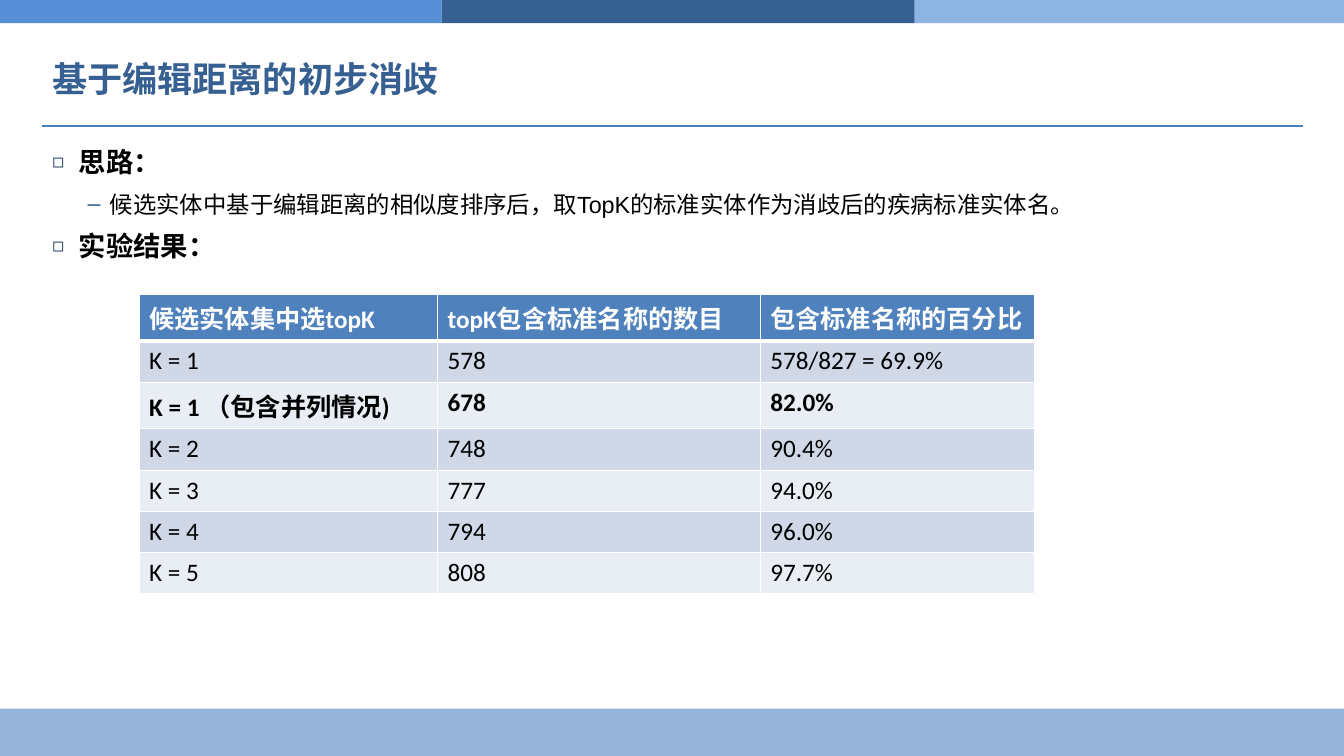
from dataclasses import dataclass

from lxml.etree import SubElement
from pptx import Presentation
from pptx.dml.color import RGBColor
from pptx.enum.shapes import MSO_CONNECTOR, MSO_SHAPE
from pptx.enum.text import MSO_ANCHOR, MSO_AUTO_SIZE, PP_ALIGN
from pptx.oxml import parse_xml
from pptx.oxml.ns import nsdecls, qn
from pptx.slide import Slide
from pptx.table import _Cell
from pptx.text.text import TextFrame, _Paragraph
from pptx.util import Inches, Pt

WHITE = RGBColor(0xFF, 0xFF, 0xFF)
BLACK = RGBColor(0x00, 0x00, 0x00)
NAVY = RGBColor(0x17, 0x37, 0x5E)
DARK_BLUE = RGBColor(0x37, 0x60, 0x92)
MID_BLUE = RGBColor(0x55, 0x8E, 0xD5)
LIGHT_BLUE = RGBColor(0x8E, 0xB4, 0xE3)
FOOTER_BLUE = RGBColor(0x95, 0xB3, 0xD7)
RULE_BLUE = RGBColor(0x4B, 0x7E, 0xBC)
HEADER_BLUE = RGBColor(0x4F, 0x81, 0xBD)
ROW_DARK = RGBColor(0xD0, 0xD8, 0xE8)
ROW_LIGHT = RGBColor(0xE9, 0xED, 0xF4)


@dataclass(frozen=True)
class Band:
    left: float
    top: float
    width: float
    height: float
    color: RGBColor


@dataclass(frozen=True)
class Level:
    depth: int
    size: float
    bold: bool
    margin: float
    hanging: float
    bullet: str
    bullet_color: RGBColor
    bullet_percent: int


BANDS = [
    Band(0, 7.03, 13.33, 0.47, FOOTER_BLUE),
    Band(0, 0, 4.38, 0.23, MID_BLUE),
    Band(9.06, 0, 4.27, 0.23, LIGHT_BLUE),
    Band(4.38, 0, 4.69, 0.23, DARK_BLUE),
]
HEADING = Level(0, 19.5, True, 0.26, 0.26, "◻", NAVY, 70)
DETAIL = Level(1, 16.7, False, 0.57, 0.22, "–", DARK_BLUE, 100)
OUTLINE = [
    (HEADING, "思路："),
    (DETAIL, "候选实体中基于编辑距离的相似度排序后，取TopK的标准实体作为消歧后的疾病标准实体名。"),
    (HEADING, "实验结果："),
]
RESULTS = [
    ("候选实体集中选topK", "topK包含标准名称的数目", "包含标准名称的百分比"),
    ("K = 1", "578", "578/827 = 69.9%"),
    ("K = 1 （包含并列情况)", "678", "82.0%"),
    ("K = 2", "748", "90.4%"),
    ("K = 3", "777", "94.0%"),
    ("K = 4", "794", "96.0%"),
    ("K = 5", "808", "97.7%"),
]
COLUMN_WIDTHS = [2.96, 3.2, 2.72]
HEADER_HEIGHT, ROW_HEIGHT = 0.37, 0.41
BOLD_ROWS = (0, 2)


def add_text(paragraph: _Paragraph, text: str, font: str, size: float,
             color: RGBColor, bold: bool) -> None:
    run = paragraph.add_run()
    run.text = text
    run.font.name = font
    run.font.size = Pt(size)
    run.font.color.rgb = color
    run.font.bold = bold


def draw_band(slide: Slide, band: Band) -> None:
    bar = slide.shapes.add_shape(MSO_SHAPE.RECTANGLE, Inches(band.left), Inches(band.top),
                                 Inches(band.width), Inches(band.height))
    bar.shadow.inherit = False
    bar.fill.solid()
    bar.fill.fore_color.rgb = band.color
    bar.line.fill.background()


def draw_rule(slide: Slide) -> None:
    rule = slide.shapes.add_connector(MSO_CONNECTOR.STRAIGHT, Inches(0.42), Inches(1.25),
                                      Inches(12.92), Inches(1.25))
    rule.line.color.rgb = RULE_BLUE
    rule.line.width = Pt(0.75)
    SubElement(rule.element.spPr, qn("a:effectLst"))


def place_text(slide: Slide, index: int, top: float, height: float) -> TextFrame:
    holder = slide.placeholders[index]
    holder.left, holder.top = Inches(0.42), Inches(top)
    holder.width, holder.height = Inches(12.5), Inches(height)
    holder.text_frame.auto_size = MSO_AUTO_SIZE.NONE
    return holder.text_frame


def format_level(paragraph: _Paragraph, level: Level) -> None:
    paragraph.level = level.depth
    paragraph.alignment = PP_ALIGN.LEFT
    paragraph.space_before = paragraph.space_after = Pt(4.2)
    properties = paragraph._p.get_or_add_pPr()
    properties.set("marL", str(Inches(level.margin)))
    properties.set("indent", str(-Inches(level.hanging)))
    bullet_color = SubElement(properties, qn("a:buClr"))
    SubElement(bullet_color, qn("a:srgbClr"), val=str(level.bullet_color))
    SubElement(properties, qn("a:buSzPct"), val=str(level.bullet_percent * 1000))
    SubElement(properties, qn("a:buFont"), typeface="Arial")
    SubElement(properties, qn("a:buChar"), char=level.bullet)


def set_borders(cell: _Cell, top: float, bottom: float) -> None:
    properties = cell._tc.get_or_add_tcPr()
    widths = {"lnL": 1, "lnR": 1, "lnT": top, "lnB": bottom}
    for position, (side, width) in enumerate(widths.items()):
        properties.insert(position, parse_xml(
            f'<a:{side} {nsdecls("a")} w="{Pt(width)}"><a:solidFill>'
            f'<a:srgbClr val="{WHITE}"/></a:solidFill></a:{side}>'))


def draw_results(slide: Slide) -> None:
    heights = [HEADER_HEIGHT] + [ROW_HEIGHT] * (len(RESULTS) - 1)
    table = slide.shapes.add_table(len(RESULTS), len(COLUMN_WIDTHS), Inches(1.38), Inches(2.92),
                                   Inches(sum(COLUMN_WIDTHS)), Inches(sum(heights))).table
    for column, width in zip(table.columns, COLUMN_WIDTHS):
        column.width = Inches(width)
    for number, (values, height) in enumerate(zip(RESULTS, heights)):
        table.rows[number].height = Inches(height)
        is_header = number == 0
        fill = HEADER_BLUE if is_header else ROW_DARK if number % 2 else ROW_LIGHT
        for cell, value in zip(table.rows[number].cells, values):
            cell.fill.solid()
            cell.fill.fore_color.rgb = fill
            set_borders(cell, top=3 if number == 1 else 1, bottom=3 if is_header else 1)
            add_text(cell.text_frame.paragraphs[0], value, "Calibri", 18,
                     WHITE if is_header else BLACK, number in BOLD_ROWS)


def main() -> None:
    presentation = Presentation()
    presentation.slide_width, presentation.slide_height = Inches(13.33), Inches(7.5)
    slide = presentation.slides.add_slide(presentation.slide_layouts[1])

    # Bands and rule
    for band in BANDS:
        draw_band(slide, band)
    draw_rule(slide)

    # Title
    title = place_text(slide, 0, 0.39, 0.78)
    title.vertical_anchor = MSO_ANCHOR.MIDDLE
    title.paragraphs[0].alignment = PP_ALIGN.LEFT
    add_text(title.paragraphs[0], "基于编辑距离的初步消歧", "Arial", 25.1, DARK_BLUE, True)

    # Outline
    body = place_text(slide, 1, 1.39, 5.39)
    for number, (level, text) in enumerate(OUTLINE):
        paragraph = body.add_paragraph() if number else body.paragraphs[0]
        format_level(paragraph, level)
        add_text(paragraph, text, "Arial", level.size, BLACK, level.bold)

    # Results table
    draw_results(slide)
    presentation.save("out.pptx")


if __name__ == "__main__":
    main()
